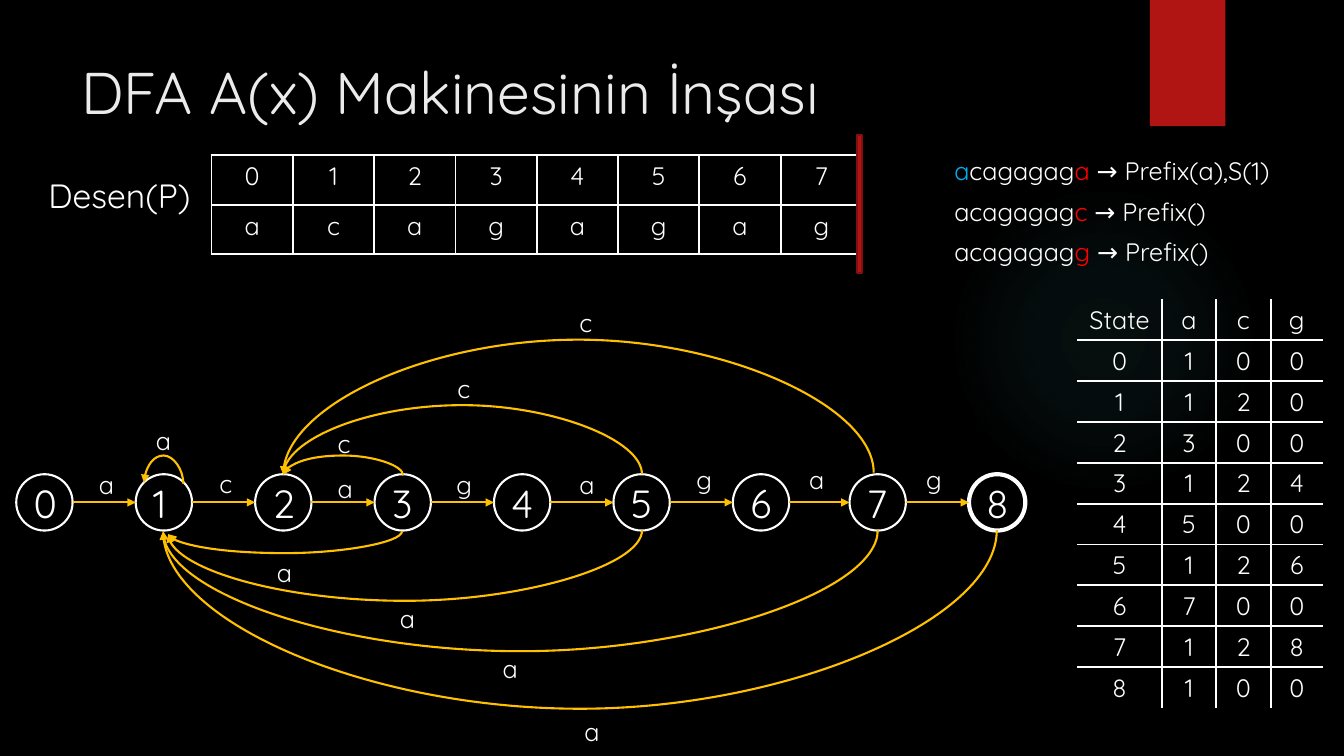
from dataclasses import dataclass

from lxml.etree import SubElement
from pptx import Presentation
from pptx.dml.color import RGBColor
from pptx.enum.shapes import MSO_CONNECTOR as Link, MSO_SHAPE as Preset
from pptx.enum.text import PP_ALIGN as Align
from pptx.oxml import parse_xml
from pptx.oxml.ns import nsdecls, qn
from pptx.util import Cm, Pt

FONT = "Quicksand"
COLORS = {
    "background": "000000", "title": "EBEBEB", "text": "FFFFFF", "arrow": "FFC000",
    "ribbon": "B01513", "ribbon_edge": "82100E", "glow": "50B9C1",
    "prefix": "00B0F0", "mismatch": "FF0000",
}
PATTERN = "acagagag"
STATE_ROWS = [
    "100", "120", "300", "124", "500", "126", "700", "128", "100",
]
STATE_SIZE, STATE_TOP, STATE_PITCH = 1.42, 11.95, 3.01


@dataclass(frozen=True)
class Label:
    symbol: str
    left: float
    top: float


@dataclass(frozen=True)
class Fallback:
    """A curved transition: start, end, and the height its bend reaches."""
    start: tuple[float, float]
    end: tuple[float, float]
    bend: float
    label: Label


FORWARD_LABELS = [
    Label("a", 2.24, 11.71), Label("c", 5.28, 11.68), Label("a", 8.26, 11.79),
    Label("g", 11.25, 11.71), Label("a", 14.35, 11.71), Label("g", 17.3, 11.58),
    Label("a", 20.14, 11.58), Label("g", 23.09, 11.58),
]
FALLBACKS = [
    Fallback((4.62, 12.19), (3.63, 12.17), 11.48, Label("a", 3.68, 10.59)),
    Fallback((10.16, 11.98), (7.14, 11.96), 11.48, Label("c", 8.26, 10.67)),
    Fallback((16.18, 11.95), (7.14, 11.97), 10.21, Label("c", 11.28, 9.27)),
    Fallback((22.02, 11.91), (7.14, 11.96), 8.56, Label("c", 14.35, 7.62)),
    Fallback((10.13, 13.39), (4.24, 13.46), 13.94, Label("a", 6.73, 13.92)),
    Fallback((16.18, 13.36), (4.24, 13.46), 15.14, Label("a", 9.83, 15.09)),
    Fallback((22.12, 13.36), (4.11, 13.39), 16.41, Label("a", 12.42, 16.33)),
    Fallback((25.12, 13.36), (4.11, 13.39), 17.86, Label("a", 14.48, 17.93)),
]


def rgb(name: str) -> RGBColor:
    return RGBColor.from_string(COLORS[name])


def style_font(font, size: float, color: str = "text") -> None:
    font.name, font.size = FONT, Pt(size)
    font.color.rgb = rgb(color)


def add_text(slide, text: str, left: float, top: float, width: float,
             height: float, size: float, color: str = "text"):
    frame = slide.shapes.add_textbox(Cm(left), Cm(top), Cm(width), Cm(height)).text_frame
    frame.word_wrap = True
    paragraph = frame.paragraphs[0]
    paragraph.text = text
    style_font(paragraph.font, size, color)
    return paragraph


def add_label(slide, label: Label) -> None:
    add_text(slide, label.symbol, label.left, label.top, 0.74, 0.79, 18)


def add_preset(slide, preset, left: float, top: float, width: float, height: float,
               fill: str | None = None, edge: str | None = None, weight: float = 1.5):
    shape = slide.shapes.add_shape(preset, Cm(left), Cm(top), Cm(width), Cm(height))
    shape.shadow.inherit = False
    if fill:
        shape.fill.solid()
        shape.fill.fore_color.rgb = rgb(fill)
    else:
        shape.fill.background()
    if edge:
        shape.line.color.rgb = rgb(edge)
        shape.line.width = Pt(weight)
    else:
        shape.line.fill.background()
    return shape


def add_arrow(slide, kind, x1: float, y1: float, x2: float, y2: float):
    arrow = slide.shapes.add_connector(kind, Cm(x1), Cm(y1), Cm(x2), Cm(y2))
    arrow.line.color.rgb = rgb("arrow")
    arrow.line.width = Pt(1.5)
    properties = arrow._element.spPr
    SubElement(properties.find(qn("a:ln")), qn("a:tailEnd"), type="triangle")
    SubElement(properties, qn("a:effectLst"))
    return arrow


def add_fallback(slide, fallback: Fallback) -> None:
    """Turn a curved connector a quarter so that it bends up or down."""
    (x1, y1), (x2, y2) = fallback.start, fallback.end
    upward = fallback.bend < y1
    advance = y1 - y2 if upward else y2 - y1
    rise, run = abs(advance), x1 - x2
    left, top = (x1 + x2 - rise) / 2, (y1 + y2 - run) / 2
    arrow = add_arrow(slide, Link.CURVE, left, top, left + rise, top + run)
    arrow.rotation = 270 if upward else 90
    properties = arrow._element.spPr
    frame = properties.find(qn("a:xfrm"))
    frame.set("flipV", str(int(upward)))
    frame.set("flipH", str(int(advance < 0)))
    adjustments = properties.find(qn("a:prstGeom")).get_or_add_avLst()
    ratio = abs(fallback.bend - y1) / advance
    SubElement(adjustments, qn("a:gd"), name="adj1", fmla=f"val {round(ratio * 100000)}")
    add_label(slide, fallback.label)


def add_grid(slide, rows: list[list[str]], left: float, top: float,
             widths: list[float], row_height: float, framed: bool) -> None:
    last_row, last_column = len(rows) - 1, len(widths) - 1
    table = slide.shapes.add_table(
        len(rows), len(widths), Cm(left), Cm(top),
        Cm(sum(widths)), Cm(row_height * len(rows))).table
    table.first_row = table.horz_banding = False
    for column, width in zip(table.columns, widths):
        column.width = Cm(width)
    for r, row in enumerate(rows):
        table.rows[r].height = Cm(row_height)
        for c, text in enumerate(row):
            cell = table.cell(r, c)
            paragraph = cell.text_frame.paragraphs[0]
            paragraph.text, paragraph.alignment = text, Align.CENTER
            style_font(paragraph.font, 18)
            inner = {"L": c > 0, "R": c < last_column, "T": r > 0, "B": r < last_row}
            for side, is_inner in inner.items():
                border = SubElement(cell._tc.get_or_add_tcPr(), qn(f"a:ln{side}"),
                                    w=str(Pt(1.5)))
                if framed or is_inner:
                    paint = SubElement(border, qn("a:solidFill"))
                    SubElement(paint, qn("a:srgbClr"), val=COLORS["text"])
                else:
                    SubElement(border, qn("a:noFill"))
            cell.fill.background()


def add_glow(slide) -> None:
    glow = add_preset(slide, Preset.OVAL, 23.9, 4.65, 7.82, 7.82)
    stops = "".join(
        f'<a:gs pos="{place * 1000}"><a:srgbClr val="{COLORS["glow"]}">'
        f'<a:alpha val="{alpha * 1000}"/></a:srgbClr></a:gs>'
        for place, alpha in [(0, 7), (36, 6), (69, 0)])
    properties = glow._element.spPr
    properties.replace(properties.find(qn("a:noFill")), parse_xml(
        f'<a:gradFill {nsdecls("a")}><a:gsLst>{stops}</a:gsLst><a:path path="circle">'
        '<a:fillToRect l="50000" t="50000" r="50000" b="50000"/></a:path></a:gradFill>'))


def main() -> None:
    deck = Presentation()
    deck.slide_width, deck.slide_height = Cm(33.87), Cm(19.05)
    slide = deck.slides.add_slide(deck.slide_layouts[6])
    slide.background.fill.solid()
    slide.background.fill.fore_color.rgb = rgb("background")

    # Backdrop and title
    add_glow(slide)
    add_preset(slide, Preset.RECTANGLE, 28.98, 0, 1.9, 3.18, "ribbon")
    add_text(slide, "DFA A(x) Makinesinin İnşası", 1.8, 1.27, 26.14, 3.89, 42, "title")

    # Pattern table with the end marker
    add_text(slide, "Desen(P)", 0.97, 4.29, 4.27, 1.27, 24)
    indices = [str(i) for i in range(len(PATTERN))]
    add_grid(slide, [indices, list(PATTERN)], 5.33, 3.91, [2.05] * 8, 1.25, True)
    add_preset(slide, Preset.RECTANGLE, 21.59, 3.4, 0.13, 3.48, "ribbon", "ribbon_edge")

    # Prefix checks
    checks = [
        [("a", "prefix"), ("cagagag", "text"), ("a ", "mismatch"), ("→ Prefix(a),S(1)", "text")],
        [("acagagag", "text"), ("c ", "mismatch"), ("→ Prefix()", "text")],
        [("acagagag", "text"), ("g ", "mismatch"), ("→ Prefix()", "text")],
    ]
    for i, check in enumerate(checks):
        line = add_text(slide, "", 23.8, 3.78 + 1.03 * i, 9.25, 1.02, 18)
        for text, color in check:
            run = line.add_run()
            run.text = text
            style_font(run.font, 18, color)

    # Transition table
    state_rows = [[str(i), *targets] for i, targets in enumerate(STATE_ROWS)]
    add_grid(slide, [["State", "a", "c", "g"], *state_rows], 27.15, 7.54,
             [2.13, 1.37, 1.37, 1.32], 1.03, False)

    # States; the last two sit slightly closer
    lefts = [0.41 + STATE_PITCH * i - (0.07 if i > 6 else 0) for i in range(9)]
    for i, left in enumerate(lefts):
        weight = 3 if i == len(PATTERN) else 1.5
        add_preset(slide, Preset.OVAL, left, STATE_TOP, STATE_SIZE, STATE_SIZE,
                   edge="text", weight=weight)
        add_text(slide, str(i), left + 0.19, STATE_TOP, 0.84, 1.14, 28)

    # Forward transitions
    middle = STATE_TOP + STATE_SIZE / 2
    for left, following, label in zip(lefts, lefts[1:], FORWARD_LABELS):
        add_arrow(slide, Link.STRAIGHT, left + STATE_SIZE, middle, following, middle)
        add_label(slide, label)

    # Fallback transitions
    for fallback in FALLBACKS:
        add_fallback(slide, fallback)

    deck.save("out.pptx")


if __name__ == "__main__":
    main()
